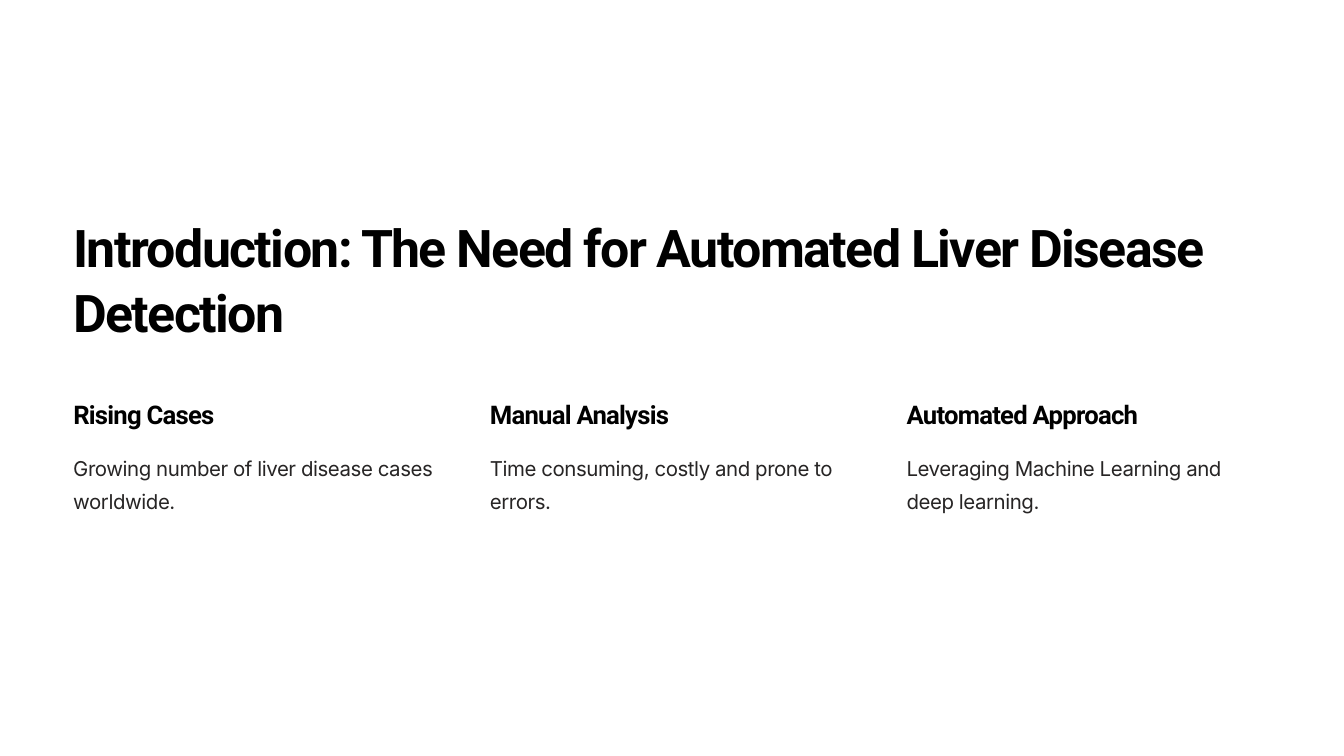
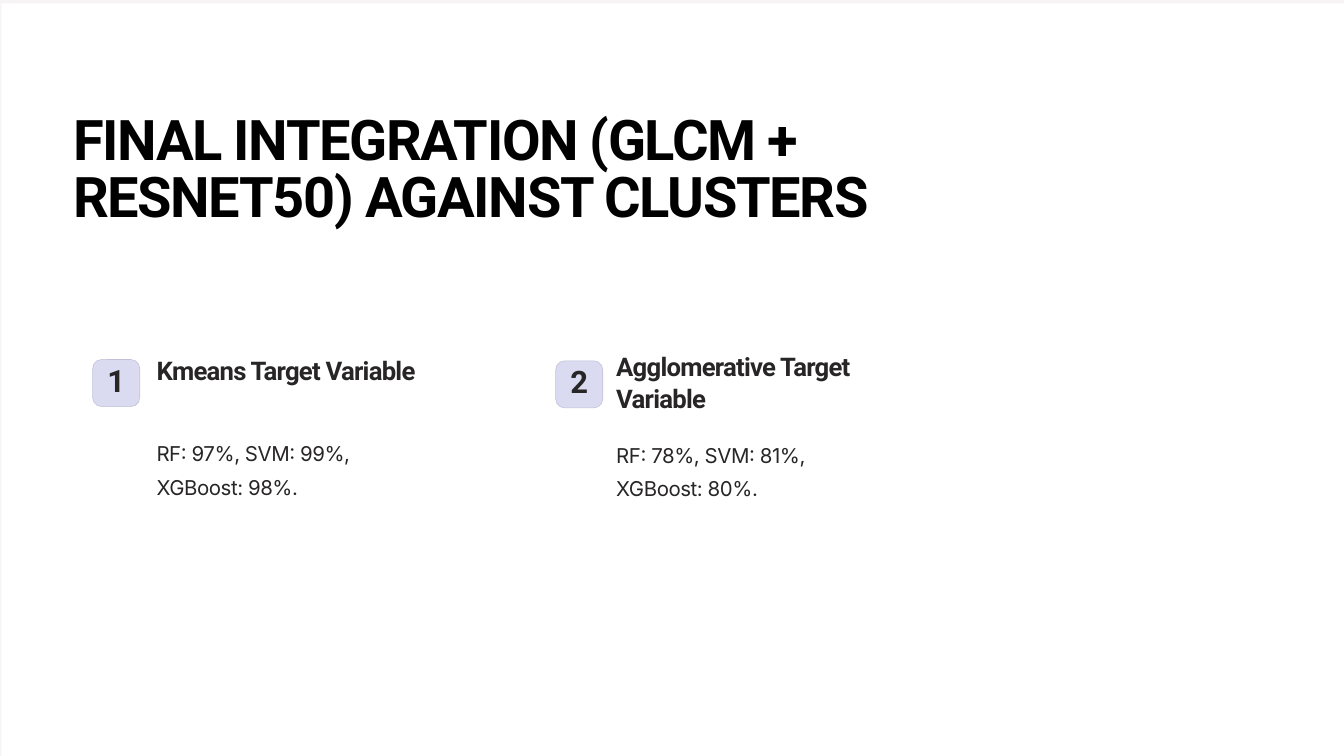
from dataclasses import dataclass

from pptx import Presentation
from pptx.dml.color import RGBColor
from pptx.enum.shapes import MSO_SHAPE
from pptx.enum.text import MSO_ANCHOR, MSO_AUTO_SIZE, PP_ALIGN
from pptx.util import Inches, Pt


@dataclass(frozen=True)
class TextStyle:
    font: str
    size: float
    line: float
    tracking: float
    color: str
    bold: bool = True


@dataclass(frozen=True)
class Theme:
    width: float = 20
    height: float = 11.25
    margin: float = 1.09
    backdrop: str = "F6F4F4"
    panel: str = "FFFFFF"
    badge_fill: str = "DADBF1"
    badge_line: str = "C0C1D7"
    ink: str = "272525"
    title: TextStyle = TextStyle("Roboto", 55.6, 69.4, -1.7, "000000")
    caps_title: TextStyle = TextStyle("Roboto", 60, 61.2, -1.5, "000000")
    column_heading: TextStyle = TextStyle("Roboto", 27.5, 34.4, -0.8, "000000")
    item_heading: TextStyle = TextStyle("Roboto", 27.5, 34.4, -0.8, ink)
    number: TextStyle = TextStyle("Roboto", 33.1, 33.1, -1, ink)
    body: TextStyle = TextStyle("Inter", 21.9, 35.6, -0.5, ink, False)


THEME = Theme()

COLUMNS = [
    ("Rising Cases", "Growing number of liver disease cases worldwide."),
    ("Manual Analysis", "Time consuming, costly and prone to errors."),
    ("Automated Approach", "Leveraging Machine Learning and deep learning."),
]


def write_text(shape, text, *, style, align=PP_ALIGN.LEFT, anchor=MSO_ANCHOR.TOP):
    frame = shape.text_frame
    frame.word_wrap = True
    frame.vertical_anchor = anchor
    frame.margin_left = frame.margin_right = 0
    frame.margin_top = frame.margin_bottom = 0
    paragraph = frame.paragraphs[0]
    paragraph.alignment = align
    paragraph.line_spacing = Pt(style.line)
    run = paragraph.add_run()
    run.text = text
    run.font.name = style.font
    run.font.size = Pt(style.size)
    run.font.bold = style.bold
    run.font.color.rgb = RGBColor.from_string(style.color)
    run._r.get_or_add_rPr().set("spc", str(round(style.tracking * 100)))


def add_text(slide, text, left, top, width, height, **text_format):
    box = slide.shapes.add_textbox(
        Inches(left), Inches(top), Inches(width), Inches(height)
    )
    write_text(box, text, **text_format)
    box.text_frame.auto_size = MSO_AUTO_SIZE.SHAPE_TO_FIT_TEXT


def add_block(slide, kind, left, top, width, height, fill, line=None):
    shape = slide.shapes.add_shape(
        kind, Inches(left), Inches(top), Inches(width), Inches(height)
    )
    shape.shadow.inherit = False
    shape.fill.solid()
    shape.fill.fore_color.rgb = RGBColor.from_string(fill)
    if line:
        shape.line.color.rgb = RGBColor.from_string(line)
        shape.line.width = Pt(0.6)
    else:
        shape.line.fill.background()
    return shape


def add_page(presentation, panel_left=0, panel_top=0):
    slide = presentation.slides.add_slide(presentation.slide_layouts[6])
    for left, top, color in (
        (0, 0, THEME.backdrop),
        (panel_left, panel_top, THEME.panel),
    ):
        add_block(slide, MSO_SHAPE.RECTANGLE, left, top,
                  THEME.width - left, THEME.height - top, color)
    return slide


def add_column(slide, left, heading, body):
    add_text(slide, heading, left, 5.91, 3.88, 0.53, style=THEME.column_heading)
    add_text(slide, body, left, 6.65, 5.44, 1.09, style=THEME.body)


def add_badge(slide, number, left, top):
    badge = add_block(slide, MSO_SHAPE.ROUNDED_RECTANGLE, left, top, 0.7, 0.7,
                      THEME.badge_fill, THEME.badge_line)
    badge.adjustments[0] = 0.19
    write_text(badge, str(number), style=THEME.number,
               align=PP_ALIGN.CENTER, anchor=MSO_ANCHOR.MIDDLE)


def add_numbered_item(slide, number, heading, body, *, badge_at, text_left,
                      heading_top, body_top):
    add_badge(slide, number, *badge_at)
    add_text(slide, heading, text_left, heading_top, 4, 0.92,
             style=THEME.item_heading)
    add_text(slide, body, text_left, body_top, 4, 0.96, style=THEME.body)


def build_introduction(presentation):
    slide = add_page(presentation)
    add_text(slide, "Introduction: The Need for Automated Liver Disease Detection",
             THEME.margin, 3.17, 17.83, 2, style=THEME.title)
    column_step = 6.2
    for index, (heading, body) in enumerate(COLUMNS):
        add_column(slide, THEME.margin + index * column_step, heading, body)


def build_integration(presentation):
    slide = add_page(presentation, panel_left=0.02, panel_top=0.05)
    add_text(slide, "FINAL INTEGRATION (GLCM + RESNET50) AGAINST CLUSTERS",
             THEME.margin, 1.71, 14.91, 1.71, style=THEME.caps_title)
    add_numbered_item(slide, 1, "Kmeans Target Variable",
                      "RF: 97%, SVM: 99%, XGBoost: 98%.",
                      badge_at=(1.38, 5.35), text_left=2.33,
                      heading_top=5.26, body_top=6.44)
    add_numbered_item(slide, 2, "Agglomerative Target Variable",
                      "RF: 78%, SVM: 81%, XGBoost: 80%.",
                      badge_at=(8.27, 5.37), text_left=9.17,
                      heading_top=5.2, body_top=6.46)


def main():
    presentation = Presentation()
    presentation.slide_width = Inches(THEME.width)
    presentation.slide_height = Inches(THEME.height)
    build_introduction(presentation)
    build_integration(presentation)
    presentation.save("out.pptx")


if __name__ == "__main__":
    main()
